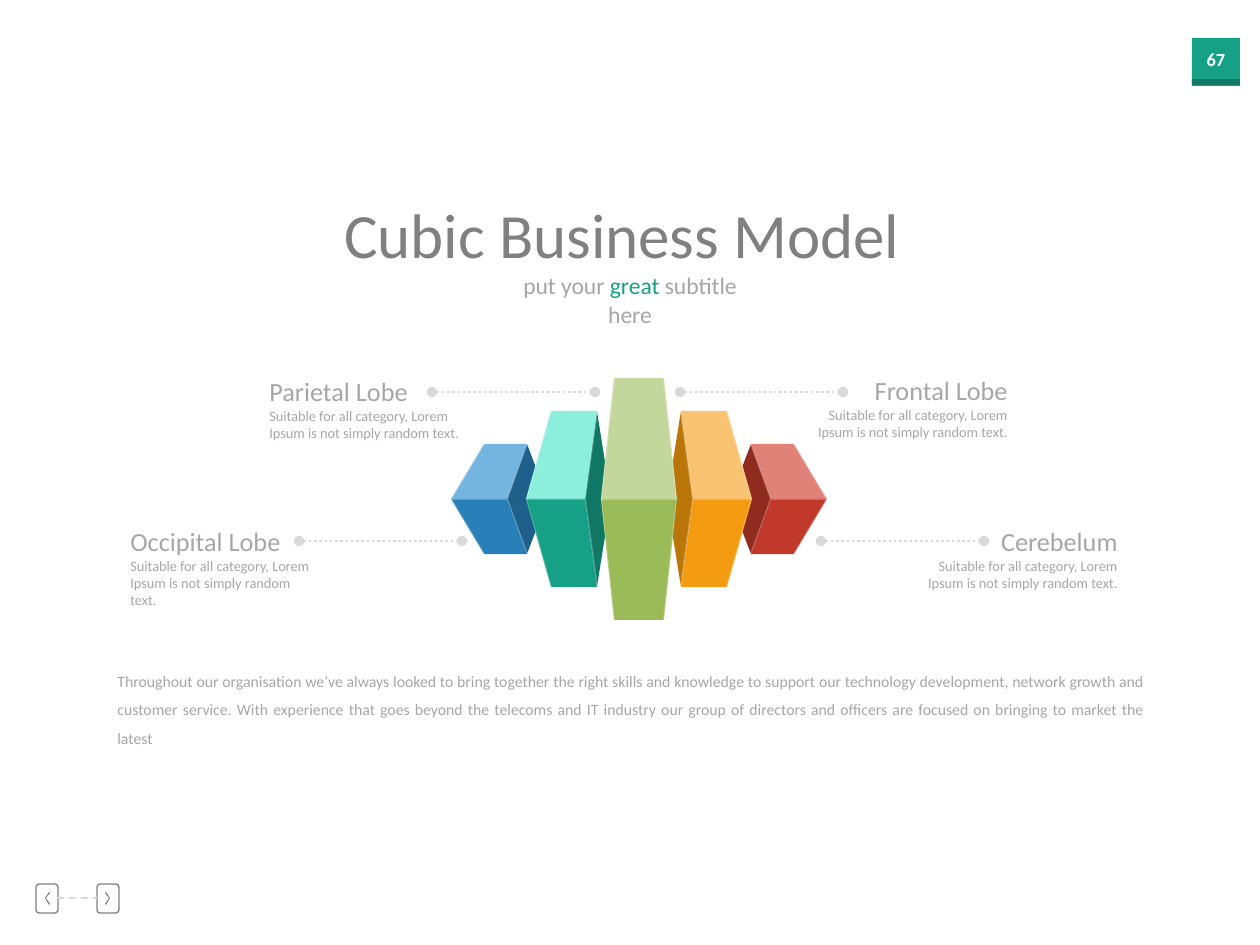
import pptx
import pptx.util
import pptx.dml.color
import pptx.enum.dml
import pptx.enum.shapes
import pptx.enum.text
import pptx.oxml
import pptx.oxml.ns
from dataclasses import dataclass

EMU_PER_PX = 914400 / 126
SHAPES = pptx.enum.shapes.MSO_SHAPE
ALIGN = pptx.enum.text.PP_ALIGN
FIT = pptx.enum.text.MSO_AUTO_SIZE
DASH = pptx.enum.dml.MSO_LINE


@dataclass(frozen=True)
class Theme:
    font: str = "Calibri"
    dark: str = "808080"
    muted: str = "A6A6A6"
    rule: str = "D9D9D9"
    accent: str = "16A085"
    shade: str = "107864"
    white: str = "FFFFFF"
    title: float = 36
    subtitle: float = 13.5
    heading: float = 15
    badge: float = 10.5
    body: float = 9
    caption: float = 8.2


THEME = Theme()
CENTER_X, CENTER_Y = 639, 499
BLURB = "Suitable for all category, Lorem Ipsum is not simply random text."
INTRO = (
    "Throughout our organisation we’ve always looked to bring together the right skills "
    "and knowledge to support our technology development, network growth and customer "
    "service. With experience that goes beyond the telecoms and IT industry our group of "
    "directors and officers are focused on bringing to market the latest"
)


def px(length):
    return pptx.util.Emu(round(length * EMU_PER_PX))


def rgb(color):
    return pptx.dml.color.RGBColor.from_string(color)


def paint(shape, color):
    shape.shadow.inherit = False
    shape.fill.solid()
    shape.fill.fore_color.rgb = rgb(color)
    shape.line.fill.background()
    return shape


def add_rectangle(page, left, top, width, height, color):
    shape = page.shapes.add_shape(SHAPES.RECTANGLE, px(left), px(top), px(width), px(height))
    return paint(shape, color)


def add_polygon(page, points, color):
    builder = page.shapes.build_freeform(*points[0], scale=EMU_PER_PX)
    builder.add_line_segments(points[1:], close=True)
    return paint(builder.convert_to_shape(), color)


def add_rule(page, start, end, y, width, dash, dots=False):
    rule = page.shapes.add_connector(
        pptx.enum.shapes.MSO_CONNECTOR.STRAIGHT, px(start), px(y), px(end), px(y))
    rule.line.color.rgb = rgb(THEME.rule)
    rule.line.width = pptx.util.Pt(width)
    rule.line.dash_style = dash
    properties = rule._element.spPr
    if dots:
        for tag in ("a:headEnd", "a:tailEnd"):
            end_mark = pptx.oxml.parse_xml(f'<{tag} {pptx.oxml.ns.nsdecls("a")} type="oval"/>')
            properties.find(pptx.oxml.ns.qn("a:ln")).append(end_mark)
    properties.append(pptx.oxml.parse_xml(f'<a:effectLst {pptx.oxml.ns.nsdecls("a")}/>'))


def write(box, spans, size, color, align, wrap=True, bold=False, spacing=None):
    frame = box.text_frame
    frame.word_wrap = wrap
    frame.auto_size = FIT.SHAPE_TO_FIT_TEXT
    frame.vertical_anchor = pptx.enum.text.MSO_ANCHOR.TOP
    para = frame.paragraphs[0]
    para.alignment = align
    para.line_spacing = spacing
    para.font.name = THEME.font
    para.font.size = pptx.util.Pt(size)
    para.font.bold = bold
    para.font.color.rgb = rgb(color)
    for text, span_color in spans:
        span = para.add_run()
        span.text = text
        if span_color != color:
            span.font.color.rgb = rgb(span_color)


def add_text(page, left, top, width, height, text, size, color, align, **options):
    box = page.shapes.add_textbox(px(left), px(top), px(width), px(height))
    spans = [(text, color)] if isinstance(text, str) else text
    write(box, spans, size, color, align, **options)


def add_title(page, text):
    title = page.shapes.title
    title.left, title.top, title.width, title.height = px(331), px(189), px(596), px(89)
    write(title, [(text, THEME.dark)], THEME.title, THEME.dark, ALIGN.CENTER, wrap=False)


def add_badge(page, number):
    add_rectangle(page, 1192, 38, 48, 48, THEME.accent)
    add_rectangle(page, 1192, 79, 48, 6, THEME.shade)
    add_text(page, 1192, 42, 48, 35, number, THEME.badge, THEME.white, ALIGN.CENTER,
             wrap=False, bold=True)


def add_navigation(page):
    arrow = [(50, 893), (46, 898), (50, 904), (49, 905), (45, 898), (49, 892)]
    for left, points in ((36, arrow), (97, [(155 - x, y) for x, y in arrow])):
        button = page.shapes.add_shape(
            SHAPES.ROUNDED_RECTANGLE, px(left), px(884), px(22), px(29))
        button.adjustments[0] = 0.15
        button.shadow.inherit = False
        button.fill.background()
        button.line.color.rgb = rgb(THEME.dark)
        button.line.width = pptx.util.Pt(0.75)
        add_polygon(page, points, THEME.dark)
    add_rule(page, 57, 97, 898, 1, DASH.DASH)


def add_label(page, edge, top, heading, heading_width, blurb_width, blurb_height, align):
    rows = (
        (heading, top, heading_width, 44, THEME.heading, False),
        (BLURB, top + 32, blurb_width, blurb_height, THEME.caption, True),
    )
    for text, row_top, width, height, size, wrap in rows:
        left = edge - width if align == ALIGN.RIGHT else edge
        add_text(page, left, row_top, width, height, text, size, THEME.muted, align, wrap=wrap)


def add_face(page, side, offsets, color):
    points = [(CENTER_X + side * x, CENTER_Y + y) for x, y in offsets]
    return add_polygon(page, points, color)


def add_glint(page, side, offsets):
    glint = add_face(page, side, offsets, THEME.white)
    fill = glint._element.spPr.find(pptx.oxml.ns.qn("a:solidFill"))
    fill[0].append(pptx.oxml.parse_xml(
        f'<a:alpha {pptx.oxml.ns.nsdecls("a")} val="25000"/>'))


def add_edge_glint(page, side, tip, end, half):
    add_glint(page, side, [(tip, 0), (end, -half), (end - 1, -half),
                           (tip - 1, 0), (end - 1, half), (end, half)])


def add_cube(page, side, outline, colors):
    outer, corner, inner, edge, back, half = outline
    shade, light, base = colors
    add_face(page, side, [(inner, 0), (edge, -half), (back, 0), (edge, half)], shade)
    for y, color in ((-half, light), (half, base)):
        add_face(page, side, [(inner, 0), (edge, y), (corner, y), (outer, 0)], color)


def add_cube_glints(page, side, outline):
    outer, corner, inner, edge, back, half = outline
    add_glint(page, side, [(inner, 0), (outer, 0), (outer, 1), (inner, 1)])
    add_edge_glint(page, side, outer, corner, half)
    add_edge_glint(page, side, inner, edge, half)


def add_cubes(page):
    small = (188, 155, 132, 112, 91, 55)
    large = (113, 88, 54, 42, 28, 88)
    cubes = (
        (-1, small, ("1F608B", "74B5E0", "2980B9")),
        (-1, large, ("107864", "8CEFDC", "16A085")),
        (1, small, ("902B20", "E18278", "C0392B")),
        (1, large, ("BA7609", "F8C471", "F39C12")),
    )
    for cube in cubes:
        add_cube(page, *cube)
    for y, color in ((-121, "C3D69B"), (121, "9BBB59")):
        add_face(page, 1, [(-38, 0), (-25, y), (25, y), (38, 0)], color)
    for side, outline, _ in cubes:
        add_cube_glints(page, side, outline)
    add_glint(page, 1, [(-38, 0), (38, 0), (38, 1), (-38, 1)])
    for side in (-1, 1):
        add_edge_glint(page, side, 38, 25, 121)


def main():
    deck = pptx.Presentation()
    deck.slide_width, deck.slide_height = px(1260), px(945)
    page = deck.slides.add_slide(deck.slide_layouts[5])
    add_badge(page, "67")
    add_navigation(page)
    add_title(page, "Cubic Business Model ")
    subtitle = [("put your ", THEME.muted), ("great", THEME.accent),
                (" subtitle here", THEME.muted)]
    add_text(page, 487, 265, 286, 42, subtitle, THEME.subtitle, THEME.muted, ALIGN.CENTER)
    add_text(page, 105, 656, 1050, 98, INTRO, THEME.body, THEME.muted, ALIGN.JUSTIFY,
             spacing=1.5)
    for start, y in ((299, 541), (432, 392), (821, 541), (680, 392)):
        add_rule(page, start, start + 163, y, 1.5, DASH.ROUND_DOT, dots=True)
    add_cubes(page)
    add_label(page, 257, 369, "Parietal Lobe", 165, 232, 48, ALIGN.LEFT)
    add_label(page, 118, 519, "Occipital Lobe", 178, 214, 66, ALIGN.LEFT)
    add_label(page, 1020, 368, "Frontal Lobe", 160, 215, 66, ALIGN.RIGHT)
    add_label(page, 1130, 519, "Cerebelum", 144, 228, 48, ALIGN.RIGHT)
    deck.save("out.pptx")


if __name__ == "__main__":
    main()
